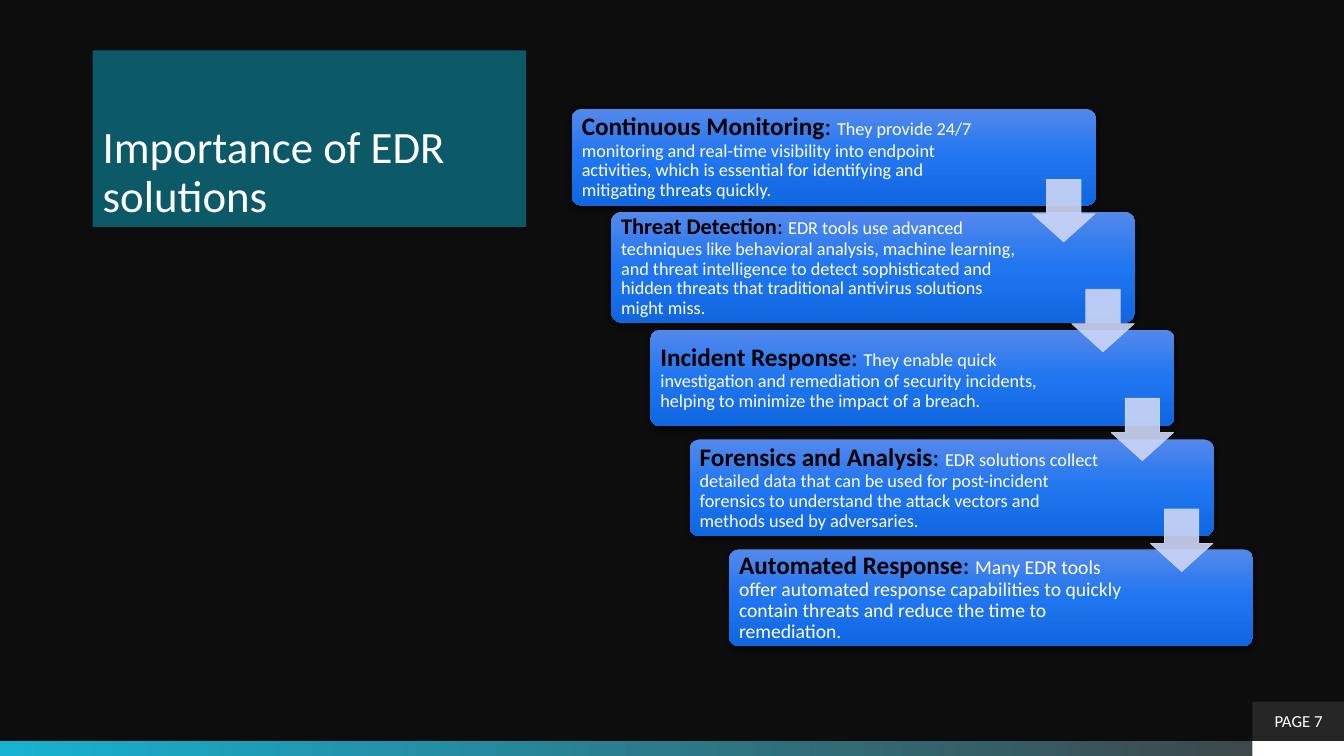
from copy import deepcopy
from lxml import etree
from pptx import Presentation
from pptx import util as u
from pptx.dml.color import RGBColor
from pptx.enum import shapes, text
from pptx.oxml.ns import qn

PX = 9144  # 100 px to the inch
BLACK = RGBColor(0x00, 0x00, 0x00)
WHITE = RGBColor(0xFF, 0xFF, 0xFF)
NIGHT = RGBColor(0x0D, 0x0D, 0x0D)
CHARCOAL = RGBColor(0x26, 0x26, 0x26)
GREY = RGBColor(0x40, 0x40, 0x40)
CYAN = RGBColor(0x17, 0xB2, 0xD1)
TEAL = RGBColor(0x0C, 0x59, 0x68)
PALE = RGBColor(0xCD, 0xD6, 0xF6)
BLUES = [RGBColor(0x53, 0x88, 0xEC), RGBColor(0x20, 0x76, 0xF0), RGBColor(0x11, 0x67, 0xE0)]
RECT = shapes.MSO_SHAPE.RECTANGLE

prs = Presentation()
prs.slide_width, prs.slide_height = 1333 * PX, 750 * PX
s = prs.slides.add_slide(prs.slide_layouts[6])
s.background.fill.solid()
s.background.fill.fore_color.rgb = NIGHT


def add_box(kind, at, colors, angle=0):
    """Add a borderless shape; several colours make an even gradient."""
    sp = s.shapes.add_shape(kind, *(v * PX for v in at))
    sp.shadow.inherit = False
    sp.line.fill.background()
    if len(colors) == 1:
        sp.fill.solid()
        sp.fill.fore_color.rgb = colors[0]
        return sp
    sp.fill.gradient()
    sp.fill.gradient_angle = angle
    stops = sp._element.spPr.find(".//" + qn("a:gsLst"))
    for _ in colors[2:]:
        stops.append(deepcopy(stops[-1]))
    for i, stop in enumerate(sp.fill.gradient_stops):
        stop.color.rgb = colors[i]
        stop.position = i / (len(colors) - 1)
    return sp


def write(sp, runs, anchor, para=None, frame=None):
    """Fill a shape with one paragraph of (text, size, colour, bold) runs."""
    tf = sp.text_frame
    tf.word_wrap = True
    tf.vertical_anchor = anchor
    for name, value in (frame or {}).items():
        setattr(tf, name, value)
    p = tf.paragraphs[0]
    for name, value in ({"alignment": text.PP_ALIGN.LEFT} | (para or {})).items():
        setattr(p, name, value)
    for words, size, color, bold in runs:
        r = p.add_run()
        r.text = words
        for name, value in {"name": "Calibri", "size": u.Pt(size), "bold": bold}.items():
            setattr(r.font, name, value)
        r.font.color.rgb = color


# Footer strip, title and page number
add_box(RECT, (0, 735, 1333, 15), [CYAN, GREY])
add_box(RECT, (1242, 735, 92, 15), [WHITE])
title = add_box(RECT, (92, 50, 430, 175), [TEAL])
write(title, [("Importance of EDR solutions", 32, WHITE, False)],
      text.MSO_ANCHOR.BOTTOM, {"line_spacing": 0.9})
page = add_box(RECT, (1242, 696, 92, 39), [CHARCOAL])
write(page, [("PAGE 7", 12, WHITE, False)], text.MSO_ANCHOR.MIDDLE,
      {"alignment": text.PP_ALIGN.CENTER, "space_after": u.Pt(6)})

# Staircase of cards: top, height, text width, heading, size, body, size
cards = [
    (108, 96, 405, "Continuous Monitoring", 18,
     "They provide 24/7 monitoring and real-time visibility into endpoint activities, "
     "which is essential for identifying and mitigating threats quickly.", 13),
    (210, 110, 412, "Threat Detection", 16,
     "EDR tools use advanced techniques like behavioral analysis, machine learning, and "
     "threat intelligence to detect sophisticated and hidden threats that traditional "
     "antivirus solutions might miss.", 13),
    (327, 96, 413, "Incident Response", 18,
     "They enable quick investigation and remediation of security incidents, helping to "
     "minimize the impact of a breach.", 13),
    (436, 96, 413, "Forensics and Analysis", 18,
     "EDR solutions collect detailed data that can be used for post-incident forensics to "
     "understand the attack vectors and methods used by adversaries.", 13),
    (545, 96, 413, "Automated Response", 18,
     "Many EDR tools offer automated response capabilities to quickly contain threats and "
     "reduce the time to remediation.", 14),
]
STEP = 39
margins = {f"margin_{side}": 7 * PX for side in ("left", "right", "top", "bottom")}
for i, (top, height, width, heading, head_size, body, body_size) in enumerate(cards):
    left = 567 + i * STEP
    card = add_box(shapes.MSO_SHAPE.ROUNDED_RECTANGLE, (left, top, 520, height), BLUES, 270)
    card.adjustments[0] = 0.1
    shadow = etree.SubElement(card._element.spPr.find(qn("a:effectLst")), qn("a:outerShdw"),
                              blurRad="57150", dist="19050", dir="5400000",
                              algn="ctr", rotWithShape="0")
    shade = etree.SubElement(shadow, qn("a:srgbClr"), val=str(BLACK))
    etree.SubElement(shade, qn("a:alpha"), val="63000")
    label = s.shapes.add_textbox(*(v * PX for v in (left + 3, top + 3, width, height - 6)))
    write(label, [(heading, head_size, BLACK, True), (": ", head_size, BLACK, False),
                  (body, body_size, WHITE, False)],
          text.MSO_ANCHOR.MIDDLE, {"line_spacing": 0.9}, margins)

# Arrows from each card to the next
for i, top in enumerate((178, 287, 395, 505)):
    arrow = add_box(shapes.MSO_SHAPE.DOWN_ARROW, (1024 + i * STEP, top, 62, 62), [PALE])
    arrow.adjustments[0], arrow.adjustments[1] = 0.55, 0.45
    arrow.line.color.rgb = PALE
    arrow.line.width = u.Pt(0.5)
    for color in arrow._element.spPr.iter(qn("a:srgbClr")):
        etree.SubElement(color, qn("a:alpha"), val="90000")

prs.save("out.pptx")
